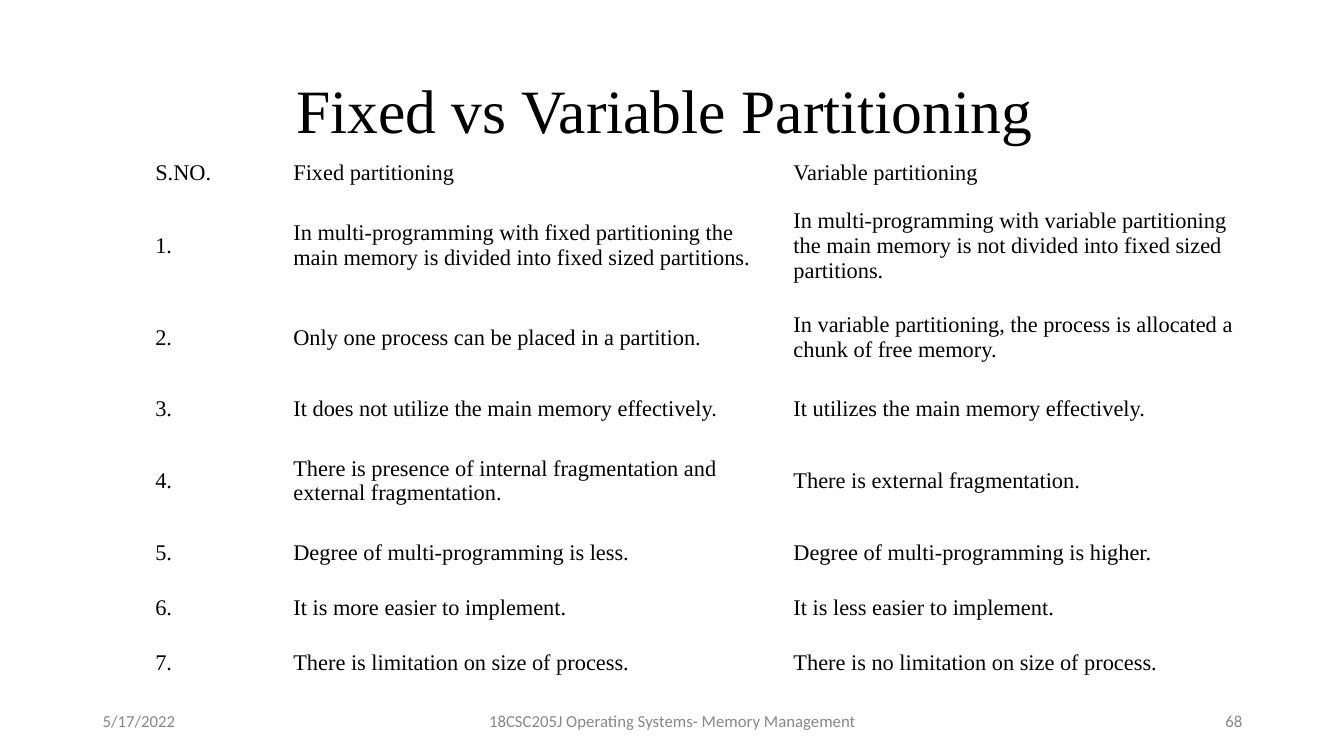
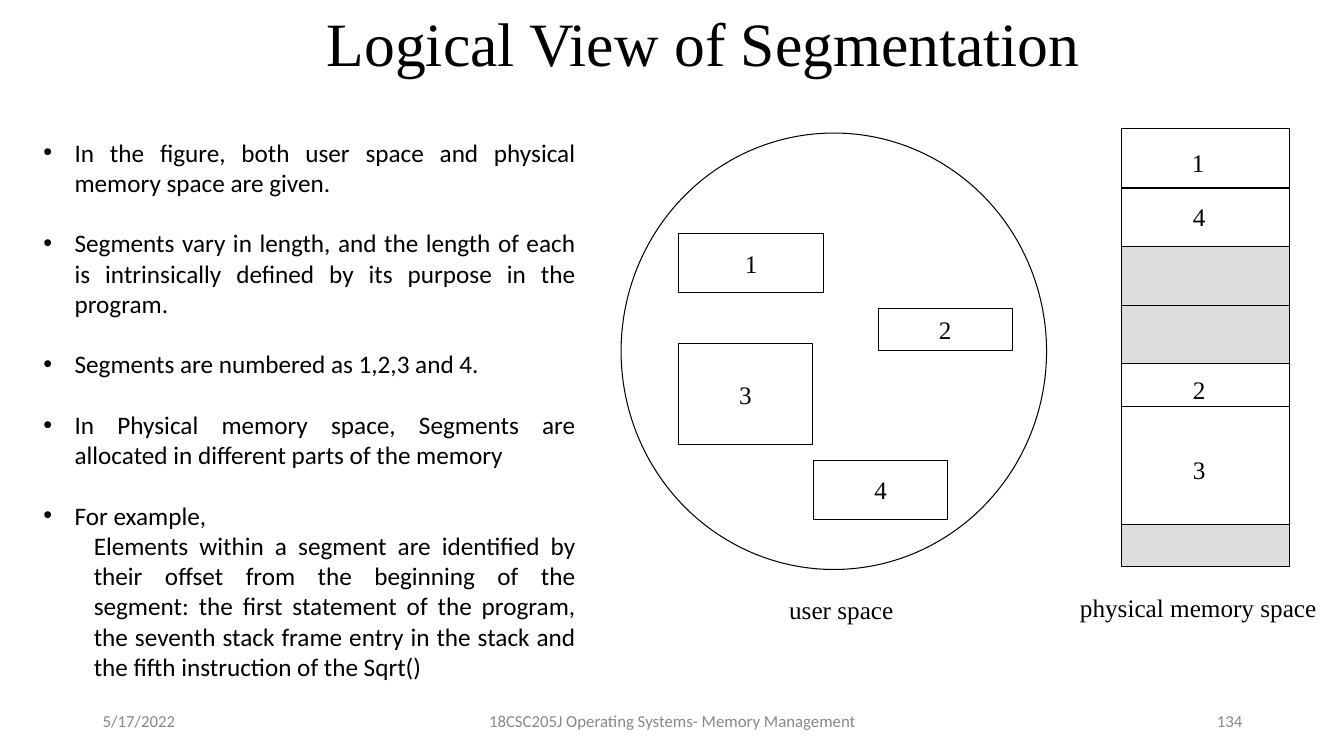
from lxml.etree import SubElement
from pptx import Presentation
from pptx.dml.color import RGBColor
from pptx.enum.shapes import MSO_CONNECTOR as Connector, MSO_SHAPE as Preset
from pptx.enum.text import MSO_ANCHOR as Anchor, MSO_AUTO_SIZE as AutoSize, PP_ALIGN as Align
from pptx.oxml.ns import qn
from pptx.util import Pt

PX = 9144
COLORS = {"ink": "000000", "paper": "FFFFFF", "free": "DDDDDD", "footer": "888888"}
SERIF, SANS = "Times New Roman", "Calibri"
FOOTER_DATE = "5/17/2022"
FOOTER_TEXT = "18CSC205J Operating Systems- Memory Management"


def color(name):
    return RGBColor.from_string(COLORS[name])


def write(frame, text, size=18, font=SERIF, ink="ink", align=Align.CENTER,
          anchor=Anchor.MIDDLE, wrap=True, spacing=None):
    frame.word_wrap = wrap
    frame.vertical_anchor = anchor
    para = frame.paragraphs[0]
    para.alignment = align
    para.line_spacing = spacing
    span = para.add_run()
    span.text = text
    span.font.size = Pt(size)
    span.font.name = font
    span.font.color.rgb = color(ink)


deck = Presentation()
deck.slide_width, deck.slide_height = 1333 * PX, 750 * PX

pages = []
for layout, title, number, (left, top, width, height) in [
    (5, "Fixed vs Variable Partitioning ", "68", (92, 40, 1150, 145)),
    (1, "Logical View of Segmentation", "134", (129, 15, 1138, 63)),
]:
    page = deck.slides.add_slide(deck.slide_layouts[layout])
    heading = page.shapes.title
    heading.left, heading.top = left * PX, top * PX
    heading.width, heading.height = width * PX, height * PX
    heading.text_frame.auto_size = AutoSize.NONE
    write(heading.text_frame, title, size=44, spacing=0.9)
    for x, w, text, align in [
        (92, 300, FOOTER_DATE, Align.LEFT),
        (442, 450, FOOTER_TEXT, Align.CENTER),
        (942, 300, number, Align.RIGHT),
    ]:
        box = page.shapes.add_textbox(x * PX, 695 * PX, w * PX, 40 * PX)
        write(box.text_frame, text, size=12, font=SANS, ink="footer", align=align)
    pages.append(page)

comparison_page, segment_page = pages

comparison = [
    ("Fixed partitioning", "Variable partitioning"),
    ("In multi-programming with fixed partitioning the main memory is divided into fixed sized partitions.",
     "In multi-programming with variable partitioning the main memory is not divided into fixed sized partitions."),
    ("Only one process can be placed in a partition.",
     "In variable partitioning, the process is allocated a chunk of free memory."),
    ("It does not utilize the main memory effectively.", "It utilizes the main memory effectively."),
    ("There is presence of internal fragmentation and external fragmentation.",
     "There is external fragmentation."),
    ("Degree of multi-programming is less.", "Degree of multi-programming is higher."),
    ("It is more easier to implement.", "It is less easier to implement."),
    ("There is limitation on size of process.", "There is no limitation on size of process."),
]
column_widths = [137, 496, 467]
row_heights = [36, 100, 81, 61, 81, 61, 47, 61]
table = comparison_page.shapes.add_table(
    len(row_heights), len(column_widths), 144 * PX, 150 * PX,
    sum(column_widths) * PX, sum(row_heights) * PX).table
table.first_row = table.horz_banding = False
for column, width in zip(table.columns, column_widths):
    column.width = width * PX
for index, (row, height, texts) in enumerate(zip(table.rows, row_heights, comparison)):
    row.height = height * PX
    label = f"{index}." if index else "S.NO."
    for cell, text in zip(row.cells, (label, *texts)):
        cell.fill.solid()
        cell.fill.fore_color.rgb = color("paper")
        cell.margin_left = cell.margin_right = 10 * PX
        cell.margin_top = cell.margin_bottom = (11 if index else 8) * PX
        cell.vertical_anchor = Anchor.MIDDLE
        write(cell.text_frame, text, size=16, align=Align.LEFT)

body = segment_page.placeholders[1]
body.left, body.top, body.width, body.height = 33 * PX, 131 * PX, 548 * PX, 556 * PX
body.text_frame.auto_size = AutoSize.NONE
points = [
    (0, "In the figure, both user space and physical memory space are given."),
    (0, "Segments vary in length, and the length of each is intrinsically defined by its purpose in the program."),
    (0, "Segments are numbered as 1,2,3 and 4."),
    (0, "In Physical memory space, Segments are allocated in different parts of the memory"),
    (0, "For example, "),
    (1, "Elements within a segment are identified by their offset from the beginning of the segment: "
        "the first statement of the program, the seventh stack frame entry in the stack and the fifth "
        "instruction of the Sqrt()"),
]
for index, (level, text) in enumerate(points):
    para = body.text_frame.add_paragraph() if index else body.text_frame.paragraphs[0]
    para.level = level
    para.alignment = Align.JUSTIFY
    para.space_before = Pt(21.6 if index and level == 0 else 0)
    properties = para._p.get_or_add_pPr()
    properties.set("marL", str((50 if level else 31) * PX))
    properties.set("indent", str((0 if level else -31) * PX))
    if level:
        SubElement(properties, qn("a:buNone"))
    else:
        SubElement(properties, qn("a:buFont"), typeface="Arial")
        SubElement(properties, qn("a:buChar"), char="•")
    span = para.add_run()
    span.text = text
    span.font.size = Pt(18)
    span.font.name = SANS
    span.font.color.rgb = color("ink")

memory_blocks = []
for preset, fill, text, left, top, width, height in [
    (Preset.OVAL, "paper", "", 616, 132, 422, 433),
    (Preset.RECTANGLE, "paper", "1", 673, 232, 144, 58),
    (Preset.RECTANGLE, "paper", "3", 673, 341, 133, 100),
    (Preset.RECTANGLE, "paper", "2", 871, 306, 133, 42),
    (Preset.RECTANGLE, "paper", "4", 807, 457, 133, 58),
    (Preset.RECTANGLE, "paper", "", 1112, 128, 167, 117),
    (Preset.RECTANGLE, "free", "", 1112, 245, 167, 116),
    (Preset.RECTANGLE, "paper", "", 1112, 361, 167, 159),
    (Preset.RECTANGLE, "free", "", 1112, 520, 167, 42),
]:
    shape = segment_page.shapes.add_shape(preset, left * PX, top * PX, width * PX, height * PX)
    shape.shadow.inherit = False
    shape.fill.solid()
    shape.fill.fore_color.rgb = color(fill)
    shape.line.color.rgb = color("ink")
    shape.line.width = Pt(0.75)
    if text:
        write(shape.text_frame, text)
    if left == 1112:
        memory_blocks.append(shape)

for y, block in [(186, memory_blocks[0]), (303, memory_blocks[1]), (403, None)]:
    divider = segment_page.shapes.add_connector(
        Connector.STRAIGHT, 1112 * PX, y * PX, 1279 * PX, y * PX)
    if block:
        divider.begin_connect(block, 1)
        divider.end_connect(block, 3)
    divider.line.color.rgb = color("ink")
    divider.line.width = Pt(0.75)
    SubElement(divider._element.spPr, qn("a:effectLst"))

for text, left, top, width in [
    ("1", 1172, 141, 33),
    ("4", 1173, 195, 33),
    ("2", 1173, 366, 33),
    ("3", 1173, 446, 33),
    ("user space ", 772, 585, 131),
    ("physical memory space", 1060, 583, 257),
]:
    box = segment_page.shapes.add_textbox(left * PX, top * PX, width * PX, 40 * PX)
    write(box.text_frame, text, wrap=False)

deck.save("out.pptx")
